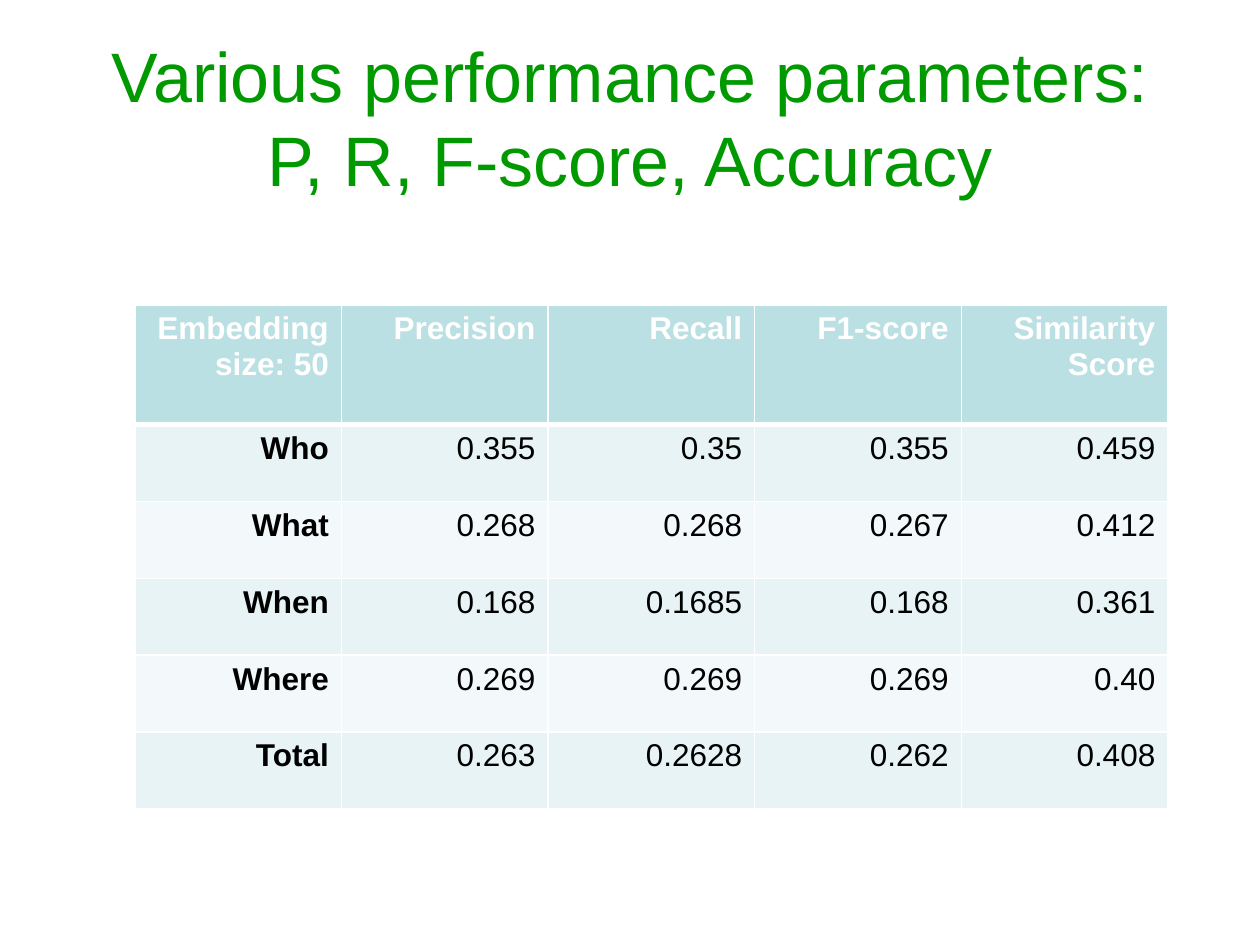
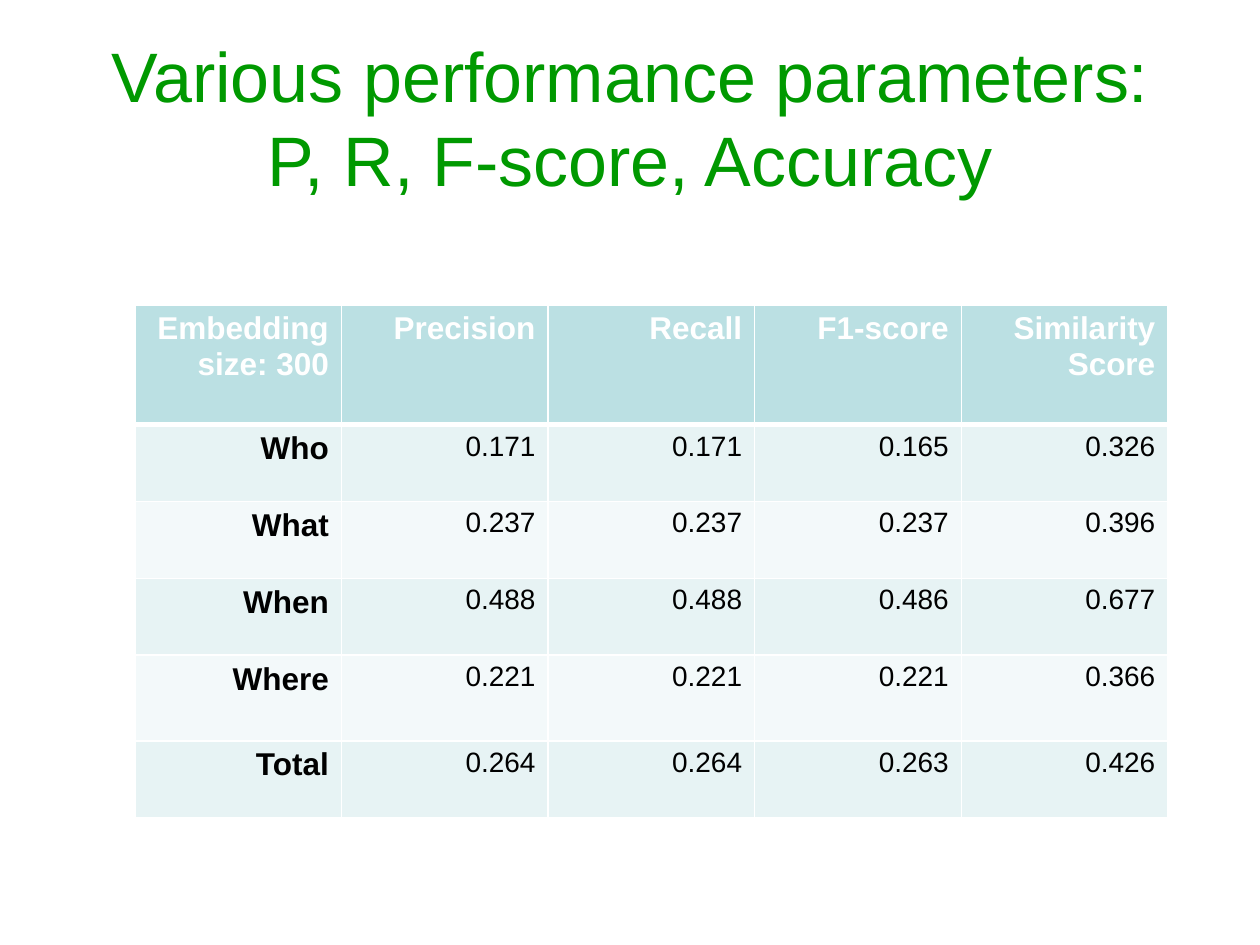
"""Build two slides comparing QA performance scores for two embedding sizes."""
from lxml import etree
from pptx import Presentation
from pptx.dml.color import RGBColor
from pptx.enum.text import MSO_ANCHOR, PP_ALIGN
from pptx.oxml.ns import qn
from pptx.util import Inches, Pt

CENTER, RIGHT = PP_ALIGN.CENTER, PP_ALIGN.RIGHT
MIDDLE = MSO_ANCHOR.MIDDLE
rgb = RGBColor.from_string

FONT = "Arial"
GREEN, WHITE, BLACK = "009900", "FFFFFF", "000000"
HEADER_FILL = "BBE0E3"
BAND_FILLS = ["F3F9FA", "E7F3F4"]
TITLE = "Various performance parameters: P, R, F-score, Accuracy"
MEASURES = ["Precision", "Recall", "F1-score", "Similarity Score"]
QUESTIONS = ["Who", "What", "When", "Where", "Total"]
COL_WIDTH = 1.64

SLIDES = [
    {
        "size": 50,
        "value_pt": 18,
        "heights": [0.95, 0.61, 0.61, 0.61, 0.61, 0.61],
        "scores": [
            ["0.355", "0.35", "0.355", "0.459"],
            ["0.268", "0.268", "0.267", "0.412"],
            ["0.168", "0.1685", "0.168", "0.361"],
            ["0.269", "0.269", "0.269", "0.40"],
            ["0.263", "0.2628", "0.262", "0.408"],
        ],
    },
    {
        "size": 300,
        "value_pt": 16,
        "heights": [0.95, 0.61, 0.61, 0.61, 0.68, 0.61],
        "scores": [
            ["0.171", "0.171", "0.165", "0.326"],
            ["0.237", "0.237", "0.237", "0.396"],
            ["0.488", "0.488", "0.486", "0.677"],
            ["0.221", "0.221", "0.221", "0.366"],
            ["0.264", "0.264", "0.263", "0.426"],
        ],
    },
]


def write(tf, text, size=18, color=BLACK, bold=False, align=RIGHT):
    tf.word_wrap = True
    p = tf.paragraphs[0]
    p.alignment = align
    r = p.add_run()
    r.text = text
    r.font.name = FONT
    r.font.size = Pt(size)
    r.font.bold = bold
    r.font.color.rgb = rgb(color)


def style_cell(cell, fill, top=1, bottom=1):
    tc_pr = cell._tc.get_or_add_tcPr()
    for side, width in (("L", 1), ("R", 1), ("T", top), ("B", bottom)):
        ln = etree.SubElement(tc_pr, qn(f"a:ln{side}"), w=str(Pt(width)))
        solid = etree.SubElement(ln, qn("a:solidFill"))
        etree.SubElement(solid, qn("a:srgbClr"), val=WHITE)
    cell.fill.solid()
    cell.fill.fore_color.rgb = rgb(fill)


prs = Presentation()
prs.slide_width, prs.slide_height = Inches(10), Inches(7.5)

for data in SLIDES:
    s = prs.slides.add_slide(prs.slide_layouts[6])
    title = s.shapes.add_textbox(Inches(0.5), Inches(0.3), Inches(9), Inches(1.25))
    title.text_frame.vertical_anchor = MIDDLE
    write(title.text_frame, TITLE, size=40, color=GREEN, align=CENTER)

    rows = [[f"Embedding size: {data['size']}"] + MEASURES]
    rows += [[name] + values for name, values in zip(QUESTIONS, data["scores"])]
    table = s.shapes.add_table(
        len(rows), len(rows[0]), Inches(1.07), Inches(2.42),
        Inches(COL_WIDTH * len(rows[0])), Inches(sum(data["heights"])),
    ).table
    for col in table.columns:
        col.width = Inches(COL_WIDTH)
    for i, (row, height) in enumerate(zip(rows, data["heights"])):
        table.rows[i].height = Inches(height)
        for j, text in enumerate(row):
            cell = table.cell(i, j)
            header, label = i == 0, i == 0 or j == 0
            style_cell(
                cell,
                HEADER_FILL if header else BAND_FILLS[i % 2],
                top=3 if i == 1 else 1,
                bottom=3 if header else 1,
            )
            write(
                cell.text_frame, text,
                size=18 if label else data["value_pt"],
                color=WHITE if header else BLACK,
                bold=label,
            )

prs.save("out.pptx")
